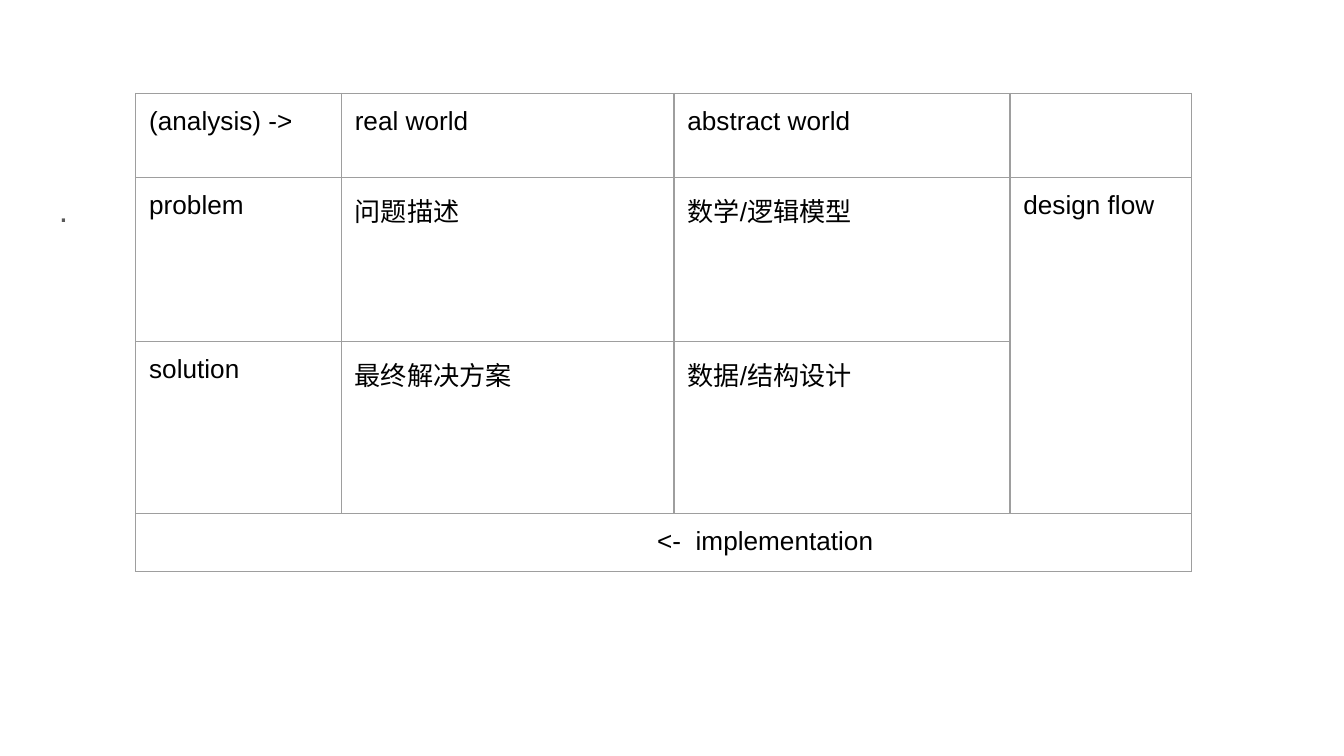
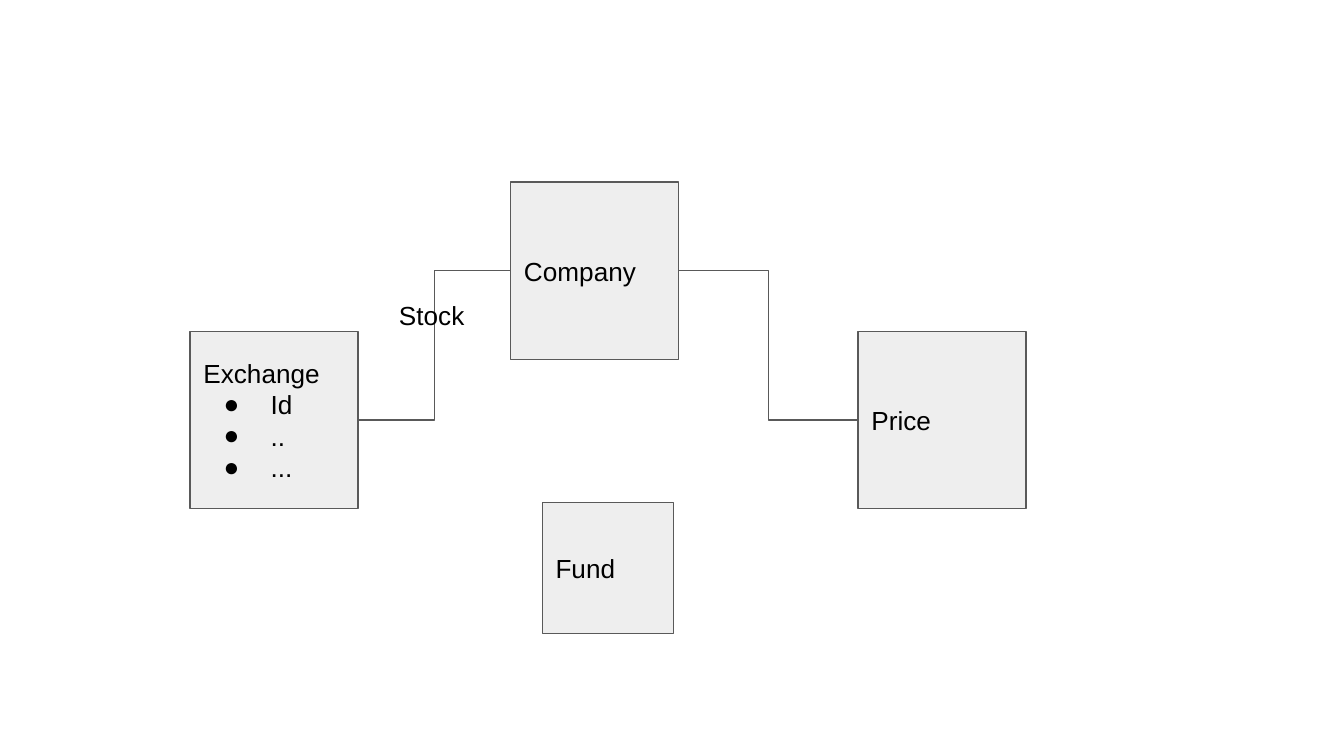
"""Build two slides: a problem-solving matrix and an entity diagram."""
from dataclasses import dataclass

from lxml import etree
from pptx import Presentation
from pptx import util as u
from pptx.dml.color import RGBColor
from pptx.enum import shapes, text
from pptx.oxml.ns import qn

PX = 4572
SLIDE_SIZE = (2000, 1125)


@dataclass(frozen=True)
class Theme:
    font: str = "Arial"
    ink: str = "000000"
    muted: str = "595959"
    grid: str = "9E9E9E"
    box: str = "EEEEEE"
    body_size: float = 14
    note_size: float = 18
    stroke: float = 0.75
    inset: int = 20


THEME = Theme()

NOTE = (".", (68, 252, 1864, 748))

MATRIX_AT = (202, 139)
MATRIX_COLUMNS = (306, 495, 500, 270)
MATRIX_ROWS = (125, 244, 256, 76)
MATRIX = [
    ["(analysis) ->", "real world", "abstract world", ""],
    ["problem", "问题描述", "数学/逻辑模型", "design flow"],
    ["solution", "最终解决方案", "数据/结构设计", ""],
    ["<-  implementation", "", "", ""],
]
MERGES = [((1, 3), (2, 3)), ((3, 0), (3, 3))]
IMPLEMENTATION_INDENT = 756

ENTITY_SIZE = (250, 264)
ENTITIES = {
    "Exchange": ((283, 493), ENTITY_SIZE, ["Id", "..", "..."]),
    "Company": ((760, 271), ENTITY_SIZE, []),
    "Price": ((1277, 493), ENTITY_SIZE, []),
    "Fund": ((807, 748), (195, 195), []),
}
RELATIONS = [("Exchange", "Company"), ("Company", "Price")]
RELATION_LABEL = ("Stock", (574, 426, 148, 68))
BULLET = "●"
BULLET_INDENT = (100, -70)


def emu(*lengths):
    return [u.Emu(length * PX) for length in lengths]


def rgb(colour):
    return RGBColor.from_string(colour)


def style_runs(paragraph, size=THEME.body_size, colour=THEME.ink):
    paragraph.alignment = text.PP_ALIGN.LEFT
    for run in paragraph.runs:
        run.font.name = THEME.font
        run.font.size = u.Pt(size)
        run.font.color.rgb = rgb(colour)


def set_insets(holder):
    inset, = emu(THEME.inset)
    holder.margin_left = holder.margin_right = inset
    holder.margin_top = holder.margin_bottom = inset


def indent(paragraph, left, first=0):
    properties = paragraph._p.get_or_add_pPr()
    properties.set("marL", str(left * PX))
    properties.set("indent", str(first * PX))
    return properties


def add_bullet(paragraph):
    properties = indent(paragraph, *BULLET_INDENT)
    colour = etree.SubElement(properties, qn("a:buClr"))
    etree.SubElement(colour, qn("a:srgbClr"), val=THEME.ink)
    etree.SubElement(properties, qn("a:buFont"), typeface=THEME.font)
    etree.SubElement(properties, qn("a:buChar"), char=BULLET)


def add_label(slide, words, area, **style):
    frame = slide.shapes.add_textbox(*emu(*area)).text_frame
    frame.word_wrap = True
    set_insets(frame)
    frame.text = words
    style_runs(frame.paragraphs[0], **style)
    return frame.paragraphs[0]


def style_cell(cell):
    set_insets(cell)
    properties = cell._tc.get_or_add_tcPr()
    for side in ("lnL", "lnR", "lnT", "lnB"):
        border = etree.SubElement(properties, qn(f"a:{side}"), w=str(u.Pt(THEME.stroke)))
        fill = etree.SubElement(border, qn("a:solidFill"))
        etree.SubElement(fill, qn("a:srgbClr"), val=THEME.grid)
    cell.fill.background()
    paragraph = cell.text_frame.paragraphs[0]
    style_runs(paragraph)
    if not cell.text:
        etree.SubElement(paragraph._p, qn("a:endParaRPr"), sz=str(int(THEME.body_size * 100)))


def add_matrix(slide):
    area = (*MATRIX_AT, sum(MATRIX_COLUMNS), sum(MATRIX_ROWS))
    matrix = slide.shapes.add_table(len(MATRIX_ROWS), len(MATRIX_COLUMNS), *emu(*area)).table
    matrix.first_row = matrix.horz_banding = False
    for column, width in zip(matrix.columns, emu(*MATRIX_COLUMNS)):
        column.width = width
    for row, height in zip(matrix.rows, emu(*MATRIX_ROWS)):
        row.height = height
    for r, entries in enumerate(MATRIX):
        for c, words in enumerate(entries):
            cell = matrix.cell(r, c)
            if words:
                cell.text = words
            style_cell(cell)
    for first, last in MERGES:
        matrix.cell(*first).merge(matrix.cell(*last))
    indent(matrix.cell(3, 0).text_frame.paragraphs[0], IMPLEMENTATION_INDENT)


def style_line(line):
    line.color.rgb = rgb(THEME.muted)
    line.width = u.Pt(THEME.stroke)


def add_entity(slide, name, place, size, fields):
    entity = slide.shapes.add_shape(shapes.MSO_SHAPE.RECTANGLE, *emu(*place, *size))
    entity.shadow.inherit = False
    entity.fill.solid()
    entity.fill.fore_color.rgb = rgb(THEME.box)
    style_line(entity.line)
    frame = entity.text_frame
    frame.word_wrap = True
    frame.vertical_anchor = text.MSO_ANCHOR.MIDDLE
    set_insets(frame)
    frame.text = "\n".join([name, *fields])
    for paragraph in frame.paragraphs:
        style_runs(paragraph)
    for paragraph in frame.paragraphs[1:]:
        add_bullet(paragraph)
    return entity


def add_relation(slide, source, target):
    relation = slide.shapes.add_connector(shapes.MSO_CONNECTOR.ELBOW, 0, 0, 0, 0)
    relation.begin_connect(source, 3)
    relation.end_connect(target, 1)
    style_line(relation.line)
    etree.SubElement(relation._element.spPr, qn("a:effectLst"))


def build_matrix_slide(slide):
    words, area = NOTE
    note = add_label(slide, words, area, size=THEME.note_size, colour=THEME.muted)
    note.line_spacing = 1.15
    note.space_after = u.Pt(16)
    add_matrix(slide)


def build_entity_slide(slide):
    entities = {name: add_entity(slide, name, *details) for name, details in ENTITIES.items()}
    for source, target in RELATIONS:
        add_relation(slide, entities[source], entities[target])
    add_label(slide, *RELATION_LABEL)


def main():
    deck = Presentation()
    deck.slide_width, deck.slide_height = emu(*SLIDE_SIZE)
    for build in (build_matrix_slide, build_entity_slide):
        build(deck.slides.add_slide(deck.slide_layouts[6]))
    deck.save("out.pptx")


if __name__ == "__main__":
    main()
